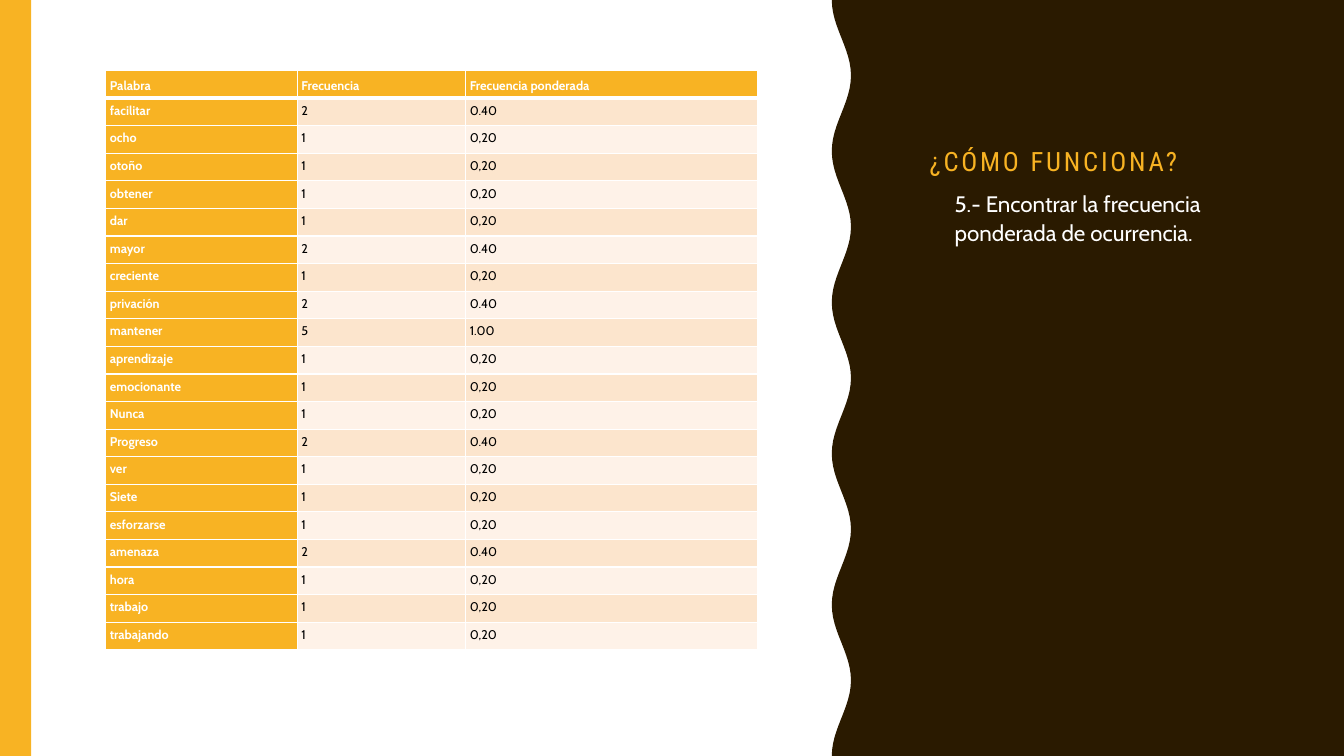
from math import cos, pi

from lxml.etree import SubElement
from pptx import Presentation
from pptx.dml.color import RGBColor as Color
from pptx.enum.shapes import MSO_SHAPE as Shape
from pptx.enum.text import MSO_ANCHOR as Anchor, PP_ALIGN as Align
from pptx.oxml.ns import qn
from pptx.util import Inches, Pt

WIDTH, HEIGHT = 13.33, 7.5
COLORS = {
    "gold": "F8B323",
    "brown": "2A1A00",
    "white": "FFFFFF",
    "black": "000000",
    "peach": "FCE5CD",
    "cream": "FEF2E8",
}
HEADINGS = ["Palabra", "Frecuencia", "Frecuencia ponderada"]
FREQUENCIES = {
    "facilitar": 2, "ocho": 1, "otoño": 1, "obtener": 1, "dar": 1,
    "mayor": 2, "creciente": 1, "privación": 2, "mantener": 5,
    "aprendizaje": 1, "emocionante": 1, "Nunca": 1, "Progreso": 2,
    "ver": 1, "Siete": 1, "esforzarse": 1, "amenaza": 2, "hora": 1,
    "trabajo": 1, "trabajando": 1,
}
WEIGHTED = {1: "0,20", 2: "0.40", 5: "1.00"}
COLUMN_WIDTHS = [1.9, 1.67, 2.89]
TITLE_FORMAT = {"name": "Roboto Condensed", "size": Pt(19), "bold": False}
BODY_FORMAT = {"name": "Cabin", "size": Pt(16), "bold": False}
CELL_FORMAT = {"name": "Cabin", "size": Pt(9)}
CELL_MARGINS = {
    f"margin_{side}": Inches(0.04) for side in ("left", "right", "top", "bottom")
}


def color(name):
    return Color.from_string(COLORS[name])


def set_attributes(target, values):
    for name, value in values.items():
        setattr(target, name, value)


def paint(shape, name):
    shape.shadow.inherit = False
    shape.fill.solid()
    shape.fill.fore_color.rgb = color(name)
    shape.line.fill.background()


def write(frame, text, font_format, color_name, line_spacing):
    paragraph = frame.paragraphs[0]
    set_attributes(paragraph, {"alignment": Align.LEFT, "line_spacing": line_spacing})
    run = paragraph.add_run()
    run.text = text
    set_attributes(run.font, font_format)
    run.font.color.rgb = color(color_name)
    return paragraph, run


def add_side_bar(slide, left, top, width, height):
    bar = slide.shapes.add_shape(
        Shape.RECTANGLE, Inches(left), Inches(top), Inches(width), Inches(height)
    )
    paint(bar, "gold")


def add_wavy_panel(slide, left, top, width, height, depth=0.19, waves=5, steps=120):
    right, bottom = left + width, top + height
    edge = []
    for step in range(steps, -1, -1):
        share = step / steps
        offset = depth * (1 - cos(2 * pi * waves * share)) / 2
        edge.append((left + offset, top + height * share))
    builder = slide.shapes.build_freeform(Inches(left), Inches(top), scale=1.0)
    points = [(right, top), (right, bottom)] + edge
    builder.add_line_segments([(Inches(x), Inches(y)) for x, y in points], close=True)
    paint(builder.convert_to_shape(), "brown")


def add_heading(slide, left, top, width, title_height, body_height):
    title = slide.shapes.title
    title._element.getparent().append(title._element)
    body = slide.shapes.add_textbox(0, 0, 0, 0)
    boxes = [(title, top, title_height), (body, top + title_height, body_height)]
    for shape, shape_top, shape_height in boxes:
        set_attributes(shape, {
            "left": Inches(left), "top": Inches(shape_top),
            "width": Inches(width), "height": Inches(shape_height),
        })
        shape.text_frame.word_wrap = True
    title.text_frame.vertical_anchor = Anchor.BOTTOM
    run = write(title.text_frame, "¿CÓMO FUNCIONA?", TITLE_FORMAT, "gold", 0.9)[1]
    run.font._element.set("spc", "200")
    paragraph = write(
        body.text_frame, "5.- Encontrar la frecuencia ponderada de ocurrencia.",
        BODY_FORMAT, "white", 1.1,
    )[0]
    paragraph.space_before = Pt(7)
    paragraph._p.get_or_add_pPr().set("marL", str(Inches(0.25)))


def set_borders(cell, widths):
    properties = cell._tc.get_or_add_tcPr()
    for index, (side, width) in enumerate(widths.items()):
        line = SubElement(properties, qn(f"a:ln{side}"), w=str(Pt(width)))
        fill = SubElement(line, qn("a:solidFill"))
        SubElement(fill, qn("a:srgbClr"), val=COLORS["white"])
        properties.insert(index, line)


def add_frequency_table(slide, left, top, width, height):
    rows = [HEADINGS] + [
        [word, str(count), WEIGHTED[count]] for word, count in FREQUENCIES.items()
    ]
    table = slide.shapes.add_table(
        len(rows), len(HEADINGS),
        Inches(left), Inches(top), Inches(width), Inches(height),
    ).table
    for column, column_width in zip(table.columns, COLUMN_WIDTHS):
        column.width = Inches(column_width)
    for row_index, values in enumerate(rows):
        table.rows[row_index].height = Inches(height / len(rows))
        for column_index, text in enumerate(values):
            cell = table.cell(row_index, column_index)
            is_header = row_index == 0
            is_label = is_header or column_index == 0
            band = "peach" if row_index % 2 else "cream"
            set_attributes(cell, CELL_MARGINS)
            cell.vertical_anchor = Anchor.BOTTOM if is_header else Anchor.TOP
            cell.fill.solid()
            cell.fill.fore_color.rgb = color("gold" if is_label else band)
            set_borders(cell, {"L": 1, "R": 1, "T": 1, "B": 3 if is_header else 1})
            write(
                cell.text_frame, text, {**CELL_FORMAT, "bold": is_label},
                "white" if is_label else "black", 1.07,
            )


def main():
    presentation = Presentation()
    presentation.slide_width = Inches(WIDTH)
    presentation.slide_height = Inches(HEIGHT)
    slide = presentation.slides.add_slide(presentation.slide_layouts[5])
    panel_left = 8.25
    add_side_bar(slide, 0, 0, 0.31, HEIGHT)
    add_wavy_panel(slide, panel_left, 0, WIDTH - panel_left, HEIGHT)
    add_heading(slide, 9.12, 0.5, 3.38, 1.31, 4.62)
    add_frequency_table(slide, 1.05, 0.7, sum(COLUMN_WIDTHS), 5.75)
    presentation.save("out.pptx")


if __name__ == "__main__":
    main()
